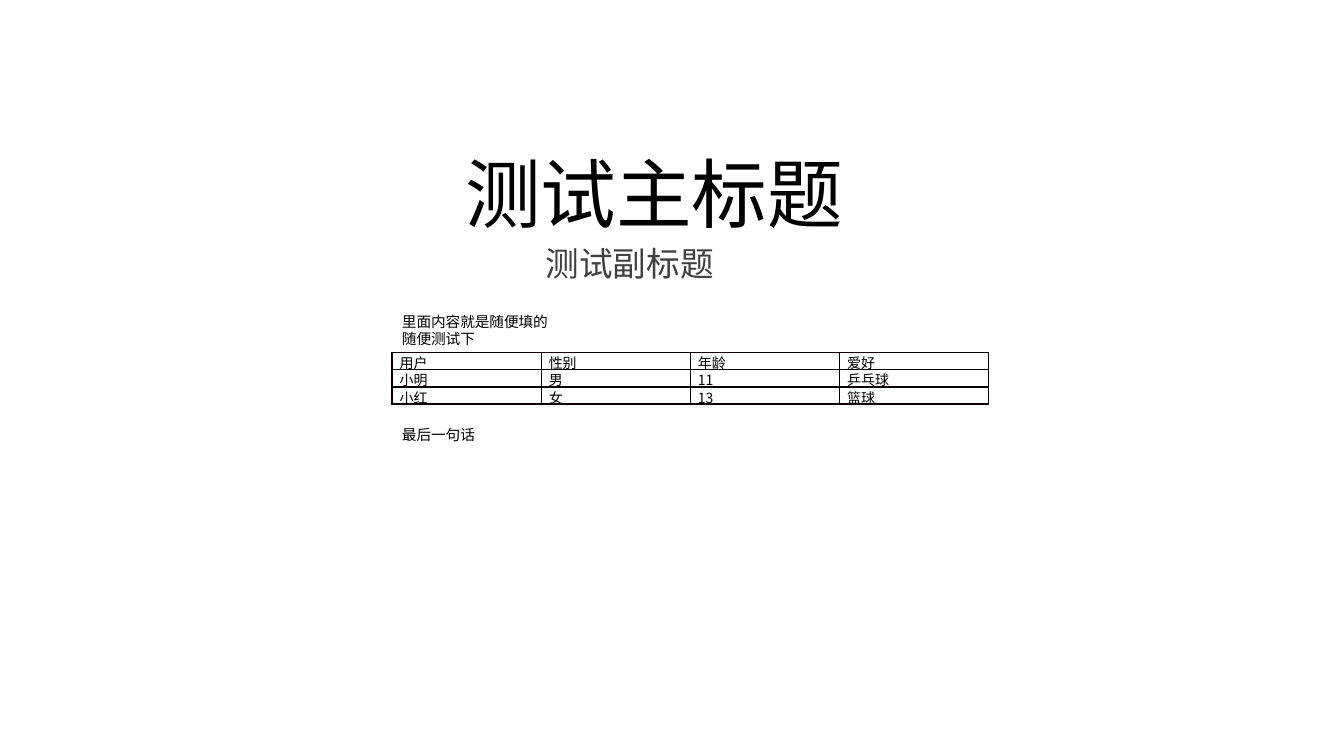
from dataclasses import dataclass

from lxml import etree
from pptx import Presentation, util as u
from pptx.dml.color import RGBColor
from pptx.enum import text
from pptx.oxml.ns import qn


@dataclass(frozen=True)
class Theme:
    """Colours, fonts and type sizes of the slide."""
    ink: str = "000000"
    grey: str = "404040"
    border: str = "080000"
    font: str = "Calibri"
    table_font: str = "Noto Sans CJK SC"
    title: float = 54
    subtitle: float = 24
    body: float = 10.5
    cell: float = 10


class Deck:
    """Holds the theme and the current slide and adds elements to it."""

    def __init__(self, theme):
        """Start a presentation with one title-only slide."""
        self.theme = theme
        self.prs = Presentation()
        self.prs.slide_width, self.prs.slide_height = u.Cm(33.87), u.Cm(19.05)
        self.s = self.prs.slides.add_slide(self.prs.slide_layouts[5])

    def set_text(self, tf, words, size, color=None, font=None, **para):
        """Fill a text frame and format its paragraph."""
        tf.text = words
        p = tf.paragraphs[0]
        for name, value in para.items():
            setattr(p, name, value)
        for r in p.runs:
            r.font.size = u.Pt(size)
            r.font.name = font or self.theme.font
            r.font.color.rgb = RGBColor.from_string(color or self.theme.ink)

    def title(self, words, left, top, width, height):
        """Place and format the title placeholder."""
        sp = self.s.shapes.title
        box = {"left": left, "top": top, "width": width, "height": height}
        for name, value in box.items():
            setattr(sp, name, u.Cm(value))
        tf = sp.text_frame
        tf.auto_size = text.MSO_AUTO_SIZE.NONE
        tf.vertical_anchor = text.MSO_ANCHOR.BOTTOM
        self.set_text(tf, words, self.theme.title,
                      alignment=text.PP_ALIGN.CENTER, line_spacing=1.3)

    def text_box(self, words, left, top, width, height, size,
                 anchor=text.MSO_ANCHOR.TOP, **style):
        """Add a wrapping text box."""
        sp = self.s.shapes.add_textbox(*map(u.Cm, (left, top, width, height)))
        tf = sp.text_frame
        tf.word_wrap = True
        tf.vertical_anchor = anchor
        self.set_text(tf, words, size, **style)

    def table(self, rows, left, top, col_width, row_height):
        """Add a plain table with thin borders."""
        n_rows, n_cols = len(rows), len(rows[0])
        tbl = self.s.shapes.add_table(
            n_rows, n_cols, u.Cm(left), u.Cm(top),
            u.Cm(col_width * n_cols), u.Cm(row_height * n_rows)).table
        tbl.first_row = tbl.horz_banding = False
        for row, values in zip(tbl.rows, rows):
            row.height = u.Cm(row_height)
            for cell, value in zip(row.cells, values):
                self.cell(cell, value)

    def cell(self, cell, value):
        """Fill one table cell and draw its borders."""
        margins = {"margin_left": 0.19, "margin_right": 0.19,
                   "margin_top": 0, "margin_bottom": 0}
        for name, size in margins.items():
            setattr(cell, name, u.Cm(size))
        self.set_text(cell.text_frame, value, self.theme.cell,
                      font=self.theme.table_font)
        pr = cell._tc.get_or_add_tcPr()
        for side in ("a:lnL", "a:lnR", "a:lnT", "a:lnB"):
            ln = etree.SubElement(pr, qn(side), w=str(u.Pt(1)))
            fill = etree.SubElement(ln, qn("a:solidFill"))
            etree.SubElement(fill, qn("a:srgbClr"), val=self.theme.border)
        cell.fill.background()


def main():
    """Build and save the slide."""
    theme = Theme()
    deck = Deck(theme)
    left, width, height = 9.88, 14.12, 1.14
    deck.title("测试主标题", 4.24, 3.68, 24.49, 2.44)
    deck.text_box("测试副标题", 3.78, 6.12, 24.18, 2.77, theme.subtitle,
                  color=theme.grey, alignment=text.PP_ALIGN.CENTER,
                  line_spacing=0.9, space_before=u.Pt(10))
    deck.text_box("里面内容就是随便填的\v随便测试下", left, 7.75, width, height,
                  theme.body)
    deck.table([("用户", "性别", "年龄", "爱好"),
                ("小明", "男", "11", "乒乓球"),
                ("小红", "女", "13", "篮球")], left, 8.89, 3.76, 0.43)
    deck.text_box("最后一句话", left, 10.16, width, height, theme.body,
                  anchor=text.MSO_ANCHOR.BOTTOM)
    deck.prs.save("out.pptx")


if __name__ == "__main__":
    main()
